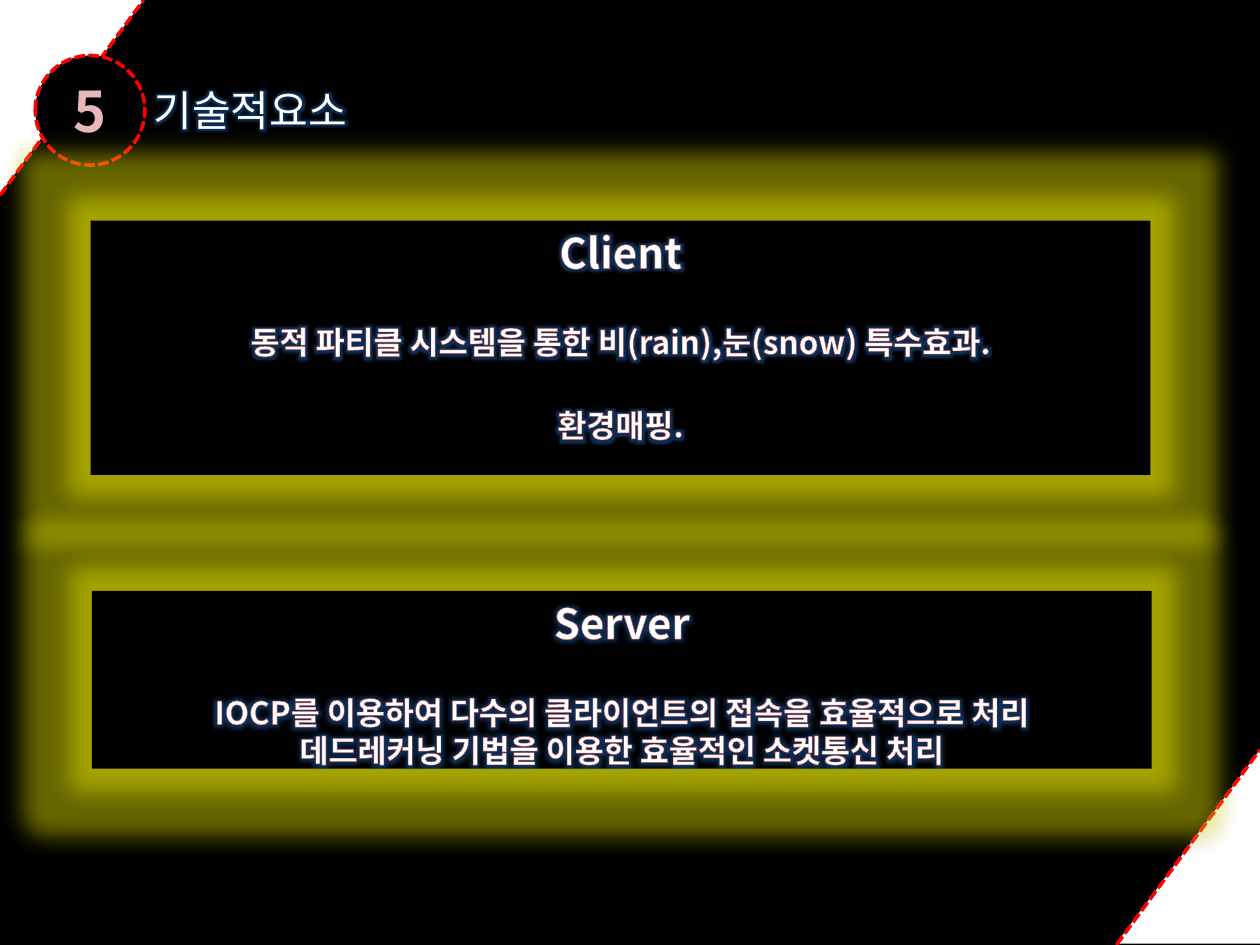
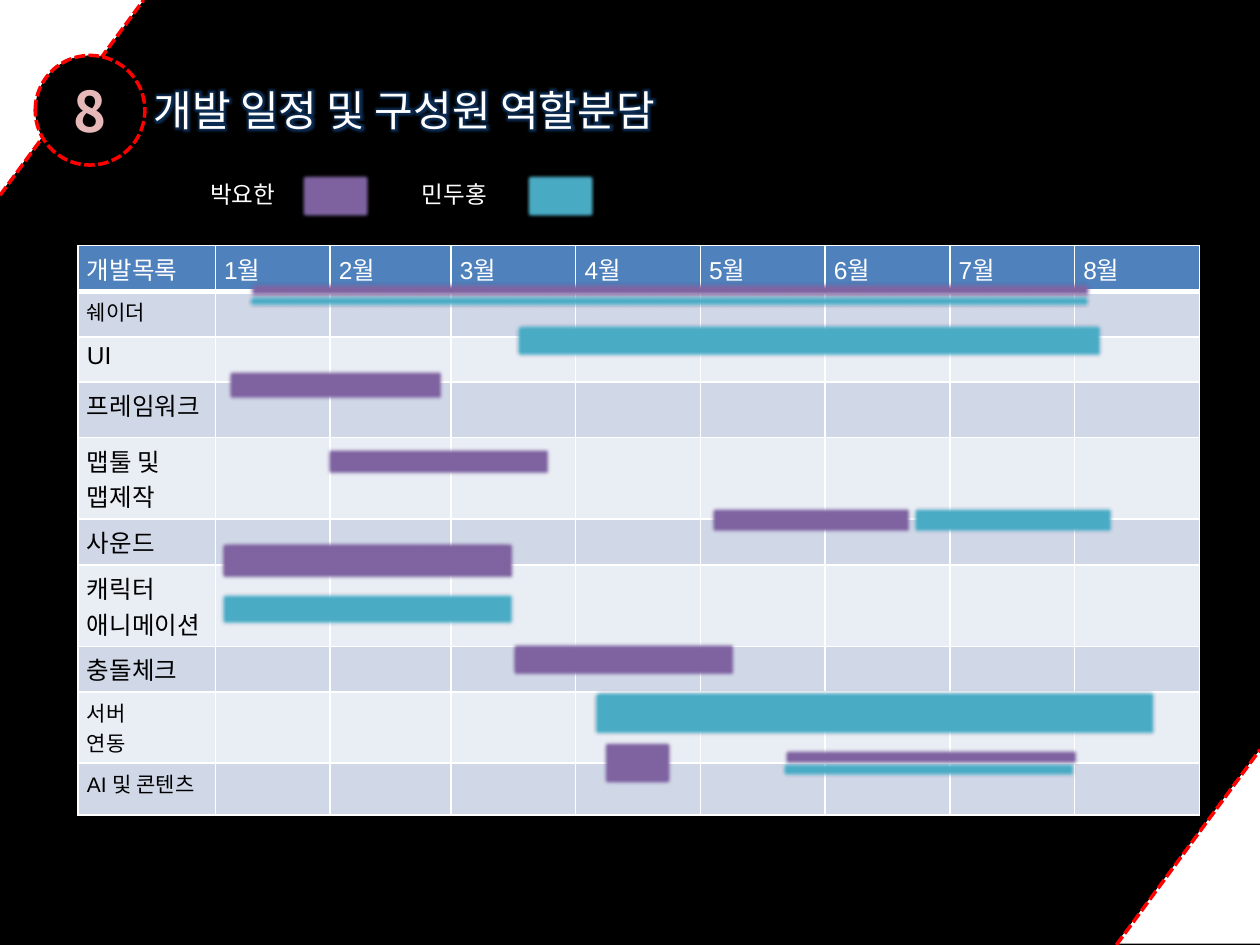
from pptx import Presentation
from pptx.dml.color import RGBColor
from pptx.enum.dml import MSO_LINE_DASH_STYLE as Dash
from pptx.enum.shapes import MSO_CONNECTOR as Connector, MSO_SHAPE as Shape
from pptx.enum.text import MSO_ANCHOR as Anchor, MSO_AUTO_SIZE as AutoSize, PP_ALIGN as Align
from pptx.oxml import parse_xml
from pptx.oxml.ns import nsdecls, qn
from pptx.util import Inches, Pt

COLORS = {
    "black": "000000", "white": "FFFFFF", "red": "FF0000", "pink": "E6B9B8",
    "outline": "C0504D", "header": "4F81BD", "band": "D0D8E8", "light": "E9EDF4",
    "purple": "8064A2", "teal": "4BACC6", "bar_edge": "5F4A78",
}
KOREAN = "Noto Sans CJK KR"
LATIN = "Arial"

NO_EFFECT = f'<a:effectLst {nsdecls("a")}/>'
TEXT_GLOW = (f'<a:effectLst {nsdecls("a")}><a:glow rad="101600"><a:srgbClr val="1F6FD0">'
             '<a:alpha val="40000"/></a:srgbClr></a:glow></a:effectLst>')
PANEL_GLOW = (f'<a:effectLst {nsdecls("a")}><a:glow rad="330200"><a:srgbClr val="FFFF00">'
              '<a:alpha val="40000"/></a:srgbClr></a:glow>'
              '<a:outerShdw blurRad="44450" dist="27940" dir="5400000" rotWithShape="0">'
              '<a:srgbClr val="000000"><a:alpha val="32000"/></a:srgbClr></a:outerShdw>'
              '</a:effectLst>')
SOFT_EDGE = f'<a:effectLst {nsdecls("a")}><a:softEdge rad="31750"/></a:effectLst>'

deck = Presentation()
deck.slide_width, deck.slide_height = Inches(10), Inches(7.5)
COL, ROW = deck.slide_width / 10, deck.slide_height / 7.5


def add_block(slide, kind, box, fill, edge=None, effect=NO_EFFECT):
    """Add a filled shape; box is left, top, width, height in columns and rows."""
    left, top, width, height = box
    block = slide.shapes.add_shape(kind, int(left * COL), int(top * ROW),
                                   int(width * COL), int(height * ROW))
    block.fill.solid()
    block.fill.fore_color.rgb = RGBColor.from_string(COLORS[fill])
    if edge:
        block.line.color.rgb = RGBColor.from_string(COLORS[edge])
        block.line.width = Pt(2)
    else:
        block.line.fill.background()
    block._element.spPr.append(parse_xml(effect))
    return block


def add_run(paragraph, text, size, color="white", font=KOREAN, bold=False,
            outline=0, glow=False):
    run = paragraph.add_run()
    run.text = text
    run.font.size, run.font.bold, run.font.name = Pt(size), bold, font
    run.font.color.rgb = RGBColor.from_string(COLORS[color])
    props = run.font._element
    props.find(qn("a:latin")).addnext(
        parse_xml(f'<a:ea {nsdecls("a")} typeface="{KOREAN}"/>'))
    if glow:
        props.find(qn("a:solidFill")).addnext(parse_xml(TEXT_GLOW))
    if outline:
        props.insert(0, parse_xml(
            f'<a:ln {nsdecls("a")} w="{int(Pt(outline))}"><a:solidFill>'
            f'<a:srgbClr val="{COLORS["outline"]}"/></a:solidFill></a:ln>'))


# Slides with the schedule table first, so that the shared frame lies above it
tech = deck.slides.add_slide(deck.slide_layouts[6])
plan = deck.slides.add_slide(deck.slide_layouts[6])

# Schedule table
months = [f"{month}월" for month in range(1, 9)]
tasks = [
    (["쉐이더"], 12, 0.36), (["UI"], 14, 0.36), (["프레임워크"], 14, 0.44),
    (["맵툴 및 맵제작"], 14, 0.64), (["사운드"], 14, 0.36),
    (["캐릭터", "애니메이션"], 14, 0.64), (["충돌체크"], 14, 0.36),
    (["서버", "연동"], 12, 0.56), (["AI 및 콘텐츠"], 12, 0.41),
]
column_widths = [1.09, 0.91, 0.96] + [0.99] * 6
row_heights = [0.36] + [height for _, _, height in tasks]
schedule = plan.shapes.add_table(
    len(row_heights), len(column_widths), int(0.62 * COL), int(1.95 * ROW),
    int(sum(column_widths) * COL), int(sum(row_heights) * ROW)).table
for column, width in zip(schedule.columns, column_widths):
    column.width = int(width * COL)
for row, height in zip(schedule.rows, row_heights):
    row.height = int(height * ROW)

entries = {(0, 0): (["개발목록"], 14)}
entries.update({(0, c): ([month], 14) for c, month in enumerate(months, 1)})
entries.update({(r, 0): (lines, size) for r, (lines, size, _) in enumerate(tasks, 1)})
for r in range(len(row_heights)):
    band = "header" if r == 0 else "band" if r % 2 else "light"
    for c in range(len(column_widths)):
        cell = schedule.cell(r, c)
        cell.margin_left = cell.margin_right = Inches(0.07)
        cell.margin_top = cell.margin_bottom = Inches(0.04)
        cell.fill.solid()
        cell.fill.fore_color.rgb = RGBColor.from_string(COLORS[band])
        for place, side in enumerate(("lnL", "lnR", "lnT", "lnB")):
            weight = 3 if r == 0 and side == "lnB" else 1
            cell._tc.tcPr.insert(place, parse_xml(
                f'<a:{side} {nsdecls("a")} w="{int(Pt(weight))}"><a:solidFill>'
                f'<a:srgbClr val="{COLORS["white"]}"/></a:solidFill></a:{side}>'))
        paragraph = cell.text_frame.paragraphs[0]
        if (r, c) not in entries:
            paragraph._p.get_or_add_endParaRPr().set("sz", "1200")
            continue
        lines, size = entries[r, c]
        for number, line in enumerate(lines):
            if number:
                paragraph = cell.text_frame.add_paragraph()
            add_run(paragraph, line, size, "black" if r else "white", LATIN)

# Shared frame: white corners, dashed edges, number badge and title
for slide, number, title, title_width in (
        (tech, "5", "기술적요소", 1.88),
        (plan, "8", "개발 일정 및 구성원 역할분담", 4.72)):
    slide.background.fill.solid()
    slide.background.fill.fore_color.rgb = RGBColor.from_string(COLORS["black"])

    for left, top, turn in ((0, 0, 0), (8.86, 5.95, 180)):
        corner = add_block(slide, Shape.ISOSCELES_TRIANGLE, (left, top, 1.14, 1.54), "white")
        corner.adjustments[0] = 0
        corner.rotation = turn
        corner._element.spPr.xfrm.set("flipV", "1")
    for x1, y1, x2, y2 in ((8.86, 7.5, 10, 5.95), (0, 1.55, 1.14, 0)):
        edge = slide.shapes.add_connector(Connector.STRAIGHT, int(x1 * COL), int(y1 * ROW),
                                          int(x2 * COL), int(y2 * ROW))
        edge.line.color.rgb = RGBColor.from_string(COLORS["red"])
        edge.line.width = Pt(2)
        edge.line.dash_style = Dash.SQUARE_DOT
        edge._element.spPr.append(parse_xml(NO_EFFECT))

    heading = slide.shapes.add_textbox(int(1.12 * COL), int(0.62 * ROW),
                                       int(title_width * COL), int(0.5 * ROW)).text_frame
    heading.word_wrap = False
    heading.auto_size = AutoSize.SHAPE_TO_FIT_TEXT
    add_run(heading.paragraphs[0], title, 24, glow=True)

    badge = add_block(slide, Shape.OVAL, (0.28, 0.44, 0.87, 0.87), "black", "red")
    badge.line.dash_style = Dash.SQUARE_DOT
    badge.text_frame.vertical_anchor = Anchor.MIDDLE
    badge.text_frame.paragraphs[0].alignment = Align.CENTER
    add_run(badge.text_frame.paragraphs[0], number, 32, "pink", bold=True, outline=1.75)

# Technology panels: each line with the gap above it in points
LINE_GAP = 26
for box, panel_title, points in (
        ((0.72, 1.75, 8.41, 2.02), "Client",
         [("동적 파티클 시스템을 통한 비(rain),눈(snow) 특수효과.", LINE_GAP),
          ("환경매핑.", LINE_GAP)]),
        ((0.73, 4.69, 8.41, 1.41), "Server",
         [("IOCP를 이용하여 다수의 클라이언트의 접속을 효율적으로 처리", LINE_GAP),
          ("데드레커닝 기법을 이용한 효율적인 소켓통신 처리", 0)])):
    panel = add_block(tech, Shape.RECTANGLE, box, "black", effect=PANEL_GLOW).text_frame
    panel.word_wrap = True
    panel.vertical_anchor = Anchor.TOP
    paragraph = panel.paragraphs[0]
    paragraph.alignment = Align.CENTER
    add_run(paragraph, panel_title, 24, bold=True, outline=0.52, glow=True)
    for point, gap in points:
        paragraph = panel.add_paragraph()
        paragraph.alignment = Align.CENTER
        paragraph.space_before = Pt(gap)
        add_run(paragraph, point, 18, bold=True, outline=0.52, glow=True)

# Legend
for member, name_left, name_width, swatch_left, color in (
        ("박요한", 1.57, 0.81, 2.38, "purple"), ("민두홍", 3.25, 0.84, 4.17, "teal")):
    add_block(plan, Shape.RECTANGLE, (swatch_left, 1.38, 0.56, 0.36), color,
              "bar_edge", SOFT_EDGE)
    name = plan.shapes.add_textbox(int(name_left * COL), int(1.38 * ROW),
                                   int(name_width * COL), int(0.33 * ROW)).text_frame
    name.word_wrap = True
    add_run(name.paragraphs[0], member, 13.5)

# Schedule bars
for color, *box in (
        ("purple", 1.8, 2.93, 1.72, 0.25), ("purple", 2.59, 3.55, 1.78, 0.23),
        ("purple", 1.98, 2.24, 6.68, 0.12), ("teal", 1.97, 2.34, 6.68, 0.1),
        ("teal", 4.09, 2.57, 4.66, 0.27), ("purple", 1.75, 4.3, 2.34, 0.3),
        ("teal", 1.75, 4.7, 2.34, 0.27), ("purple", 5.64, 4.02, 1.6, 0.22),
        ("teal", 7.24, 4.02, 1.6, 0.22), ("purple", 4.06, 5.1, 1.78, 0.27),
        ("purple", 4.78, 5.88, 0.56, 0.36), ("purple", 6.22, 5.94, 2.34, 0.14),
        ("teal", 6.2, 6.04, 2.34, 0.13), ("teal", 4.71, 5.48, 4.46, 0.36)):
    add_block(plan, Shape.RECTANGLE, box, color, "bar_edge", SOFT_EDGE)

deck.save("out.pptx")
